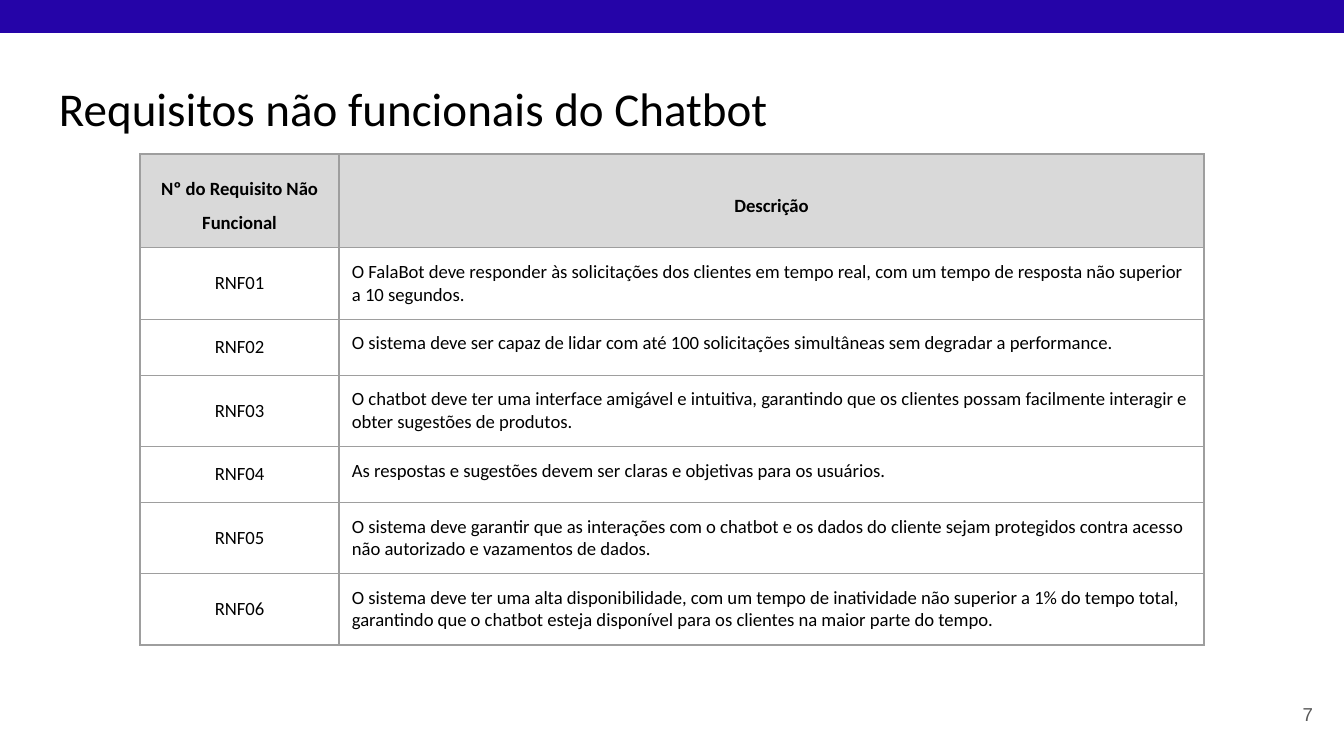
from dataclasses import dataclass
from typing import Any, NamedTuple

from lxml.etree import SubElement
from pptx import Presentation
from pptx.dml.color import RGBColor
from pptx.enum.shapes import MSO_SHAPE
from pptx.enum.text import MSO_ANCHOR, MSO_AUTO_SIZE, PP_ALIGN
from pptx.oxml.ns import qn
from pptx.util import Emu, Pt

PX_PER_INCH = 134.4


def px(length: int) -> Emu:
    return Emu(round(length * 914400 / PX_PER_INCH))


@dataclass(frozen=True)
class Theme:
    bar: str = "2504A8"
    header: str = "D9D9D9"
    border: str = "9E9E9E"
    ink: str = "000000"
    muted: str = "595959"
    body_font: str = "Calibri"
    number_font: str = "Arial"
    title_size: float = 25.2
    text_size: float = 10
    border_width: float = 0.75
    inset: int = 13


class Box(NamedTuple):
    left: int
    top: int
    width: int
    height: int


class Requirement(NamedTuple):
    code: str
    description: str


THEME = Theme()
SLIDE = Box(0, 0, 1344, 756)
BAR = Box(0, 0, 1344, 33)
TITLE = Box(46, 66, 1252, 84)
PAGE_NUMBER = Box(1246, 686, 80, 57)
COLUMNS = (199, 865)
ROW_HEIGHT = 56
HEADINGS = Requirement("Nº do Requisito Não Funcional", "Descrição")
DESCRIPTIONS = (
    "O FalaBot deve responder às solicitações dos clientes em tempo real, "
    "com um tempo de resposta não superior a 10 segundos.",
    "O sistema deve ser capaz de lidar com até 100 solicitações simultâneas "
    "sem degradar a performance.",
    "O chatbot deve ter uma interface amigável e intuitiva, garantindo que os "
    "clientes possam facilmente interagir e obter sugestões de produtos.",
    "As respostas e sugestões devem ser claras e objetivas para os usuários.",
    "O sistema deve garantir que as interações com o chatbot e os dados do "
    "cliente sejam protegidos contra acesso não autorizado e vazamentos de dados.",
    "O sistema deve ter uma alta disponibilidade, com um tempo de inatividade "
    "não superior a 1% do tempo total, garantindo que o chatbot esteja "
    "disponível para os clientes na maior parte do tempo.",
)
REQUIREMENTS = [Requirement(f"RNF{number:02}", description)
                for number, description in enumerate(DESCRIPTIONS, 1)]

HEADER_SPACING = {"line_spacing": 1.5, "space_before": Pt(12), "space_after": Pt(12)}
INSETS = {f"margin_{side}": px(THEME.inset) for side in ("left", "top", "right", "bottom")}


def apply(target: Any, values: dict[str, Any]) -> None:
    for name, value in values.items():
        setattr(target, name, value)


def emu_box(box: Box) -> list[Emu]:
    return [px(length) for length in box]


def write(frame: Any, text: str, size: float = THEME.text_size,
          font: str = THEME.body_font, color: str = THEME.ink,
          bold: bool = False, **paragraph_format: Any) -> None:
    paragraph = frame.paragraphs[0]
    apply(paragraph, paragraph_format)
    run = paragraph.add_run()
    run.text = text
    apply(run.font, {"size": Pt(size), "name": font, "bold": bold})
    run.font.color.rgb = RGBColor.from_string(color)


def draw_borders(cell: Any) -> None:
    properties = cell._tc.get_or_add_tcPr()
    for position, side in enumerate(("lnL", "lnR", "lnT", "lnB")):
        line = properties.makeelement(qn(f"a:{side}"), {"w": str(Pt(THEME.border_width))})
        properties.insert(position, line)
        fill = SubElement(line, qn("a:solidFill"))
        SubElement(fill, qn("a:srgbClr"), val=THEME.border)


def format_cell(cell: Any, text: str, is_header: bool, is_code: bool) -> None:
    centred = is_header or is_code
    apply(cell, INSETS)
    cell.vertical_anchor = MSO_ANCHOR.MIDDLE if centred else MSO_ANCHOR.TOP
    if is_header:
        cell.fill.solid()
        cell.fill.fore_color.rgb = RGBColor.from_string(THEME.header)
    else:
        cell.fill.background()
    draw_borders(cell)
    write(cell.text_frame, text, bold=is_header,
          alignment=PP_ALIGN.CENTER if centred else PP_ALIGN.LEFT,
          **(HEADER_SPACING if is_header else {}))


def draw_title(slide: Any) -> None:
    title = slide.shapes.title
    apply(title, dict(zip(Box._fields, emu_box(TITLE))))
    apply(title.text_frame, {**INSETS, "word_wrap": True,
                             "auto_size": MSO_AUTO_SIZE.NONE,
                             "vertical_anchor": MSO_ANCHOR.TOP})
    write(title.text_frame, "Requisitos não funcionais do Chatbot",
          size=THEME.title_size, alignment=PP_ALIGN.LEFT)


def draw_requirements(slide: Any) -> None:
    rows = [HEADINGS, *REQUIREMENTS]
    box = Box(140, 154, sum(COLUMNS), ROW_HEIGHT * len(rows))
    table = slide.shapes.add_table(len(rows), len(COLUMNS), *emu_box(box)).table
    apply(table, {"first_row": False, "horz_banding": False})
    for column, width in zip(table.columns, COLUMNS):
        column.width = px(width)
    for row_index, requirement in enumerate(rows):
        for column_index, text in enumerate(requirement):
            format_cell(table.cell(row_index, column_index), text,
                        is_header=row_index == 0, is_code=column_index == 0)


def draw_page_number(slide: Any) -> None:
    frame = slide.shapes.add_textbox(*emu_box(PAGE_NUMBER)).text_frame
    apply(frame, {**INSETS, "word_wrap": True, "vertical_anchor": MSO_ANCHOR.MIDDLE})
    write(frame, "7", font=THEME.number_font, color=THEME.muted,
          alignment=PP_ALIGN.RIGHT)


def draw_bar(slide: Any) -> None:
    bar = slide.shapes.add_shape(MSO_SHAPE.RECTANGLE, *emu_box(BAR))
    bar.shadow.inherit = False
    bar.fill.solid()
    bar.fill.fore_color.rgb = RGBColor.from_string(THEME.bar)
    bar.line.fill.background()


def main() -> None:
    presentation = Presentation()
    apply(presentation, {"slide_width": px(SLIDE.width), "slide_height": px(SLIDE.height)})
    slide = presentation.slides.add_slide(presentation.slide_layouts.get_by_name("Title Only"))

    # Heading
    draw_title(slide)
    # Table of requirements
    draw_requirements(slide)
    # Page number and top bar
    draw_page_number(slide)
    draw_bar(slide)

    presentation.save("out.pptx")


if __name__ == "__main__":
    main()
